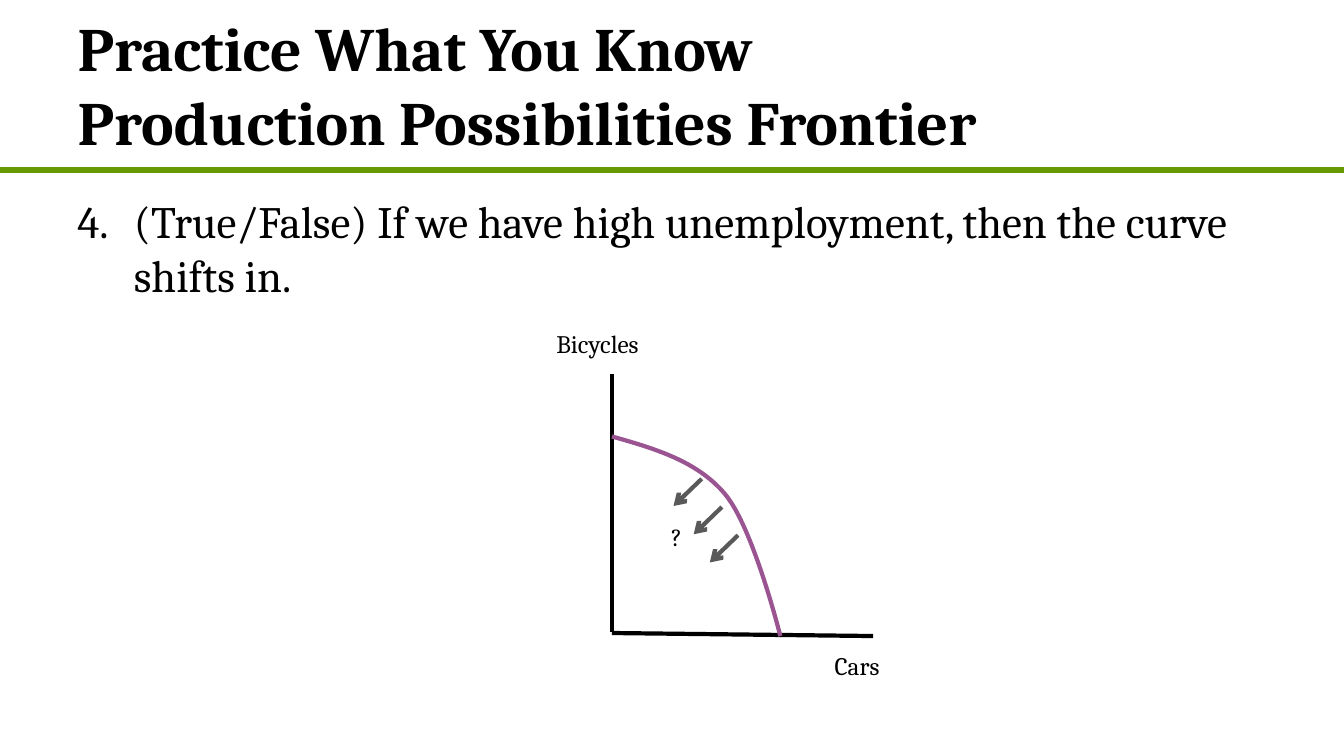
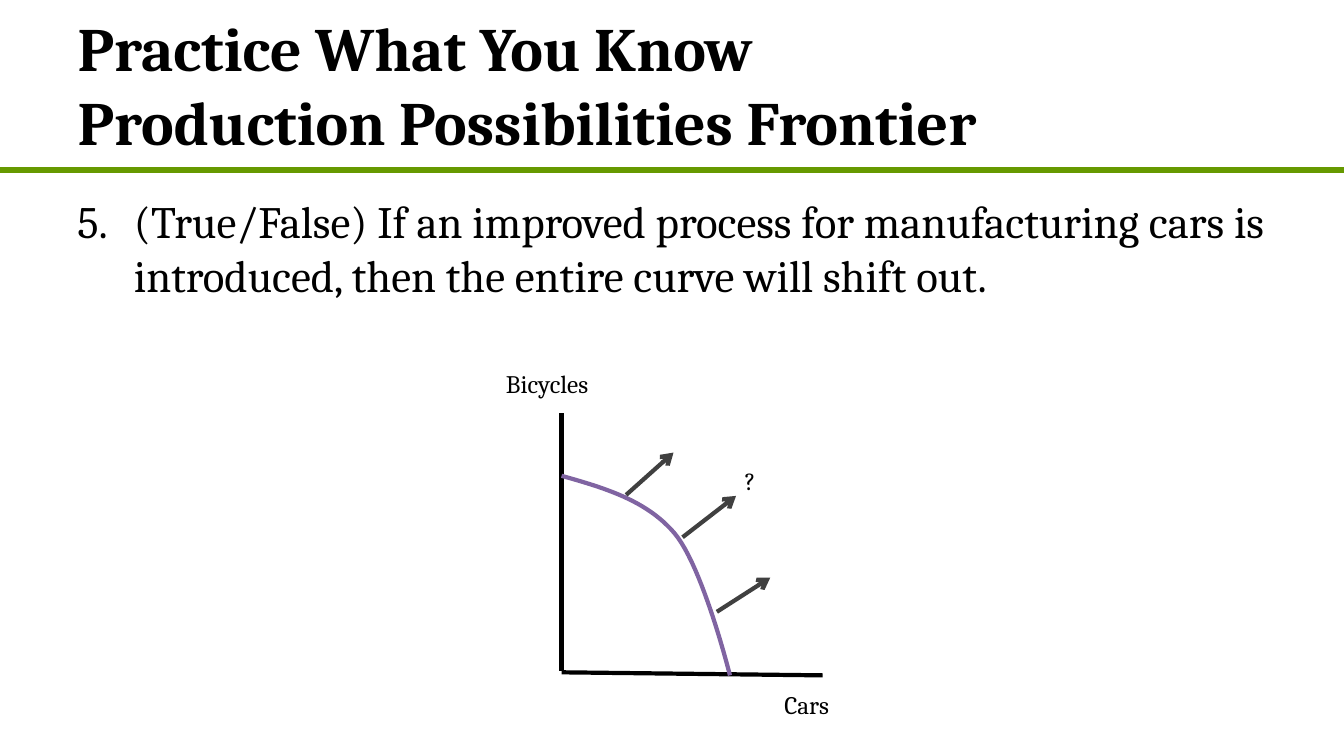
from dataclasses import dataclass

from lxml.etree import SubElement
from pptx import Presentation
from pptx.dml.color import RGBColor
from pptx.enum.shapes import MSO_CONNECTOR
from pptx.enum.text import MSO_ANCHOR, MSO_AUTO_SIZE, PP_ALIGN
from pptx.oxml.ns import qn
from pptx.util import Pt

PX = 9144  # EMU in one px, 100 px to the inch
PAGE_WIDTH, PAGE_HEIGHT = 1333, 750
TITLE_ONLY = 5


@dataclass(frozen=True)
class Theme:
    font: str = "Cambria"
    ink: str = "000000"
    rule: str = "669900"
    title_size: int = 44
    question_size: int = 32
    label_size: int = 18
    line_width: float = 3
    rule_width: float = 4.5


THEME = Theme()
TITLE = "Practice What You Know\vProduction Possibilities Frontier"

# Graph parts, measured from the origin of the axes
AXES = [((0, -257), (0, -1)), ((259, 3), (0, 0))]
LABELS = [("Bicycles", -65, -307, 140), ("Cars", 211, 12, 82)]
FRONTIER = [
    [(0, -195), (42, -183), (84, -171), (112, -138)],
    [(112, -138), (140, -105), (167, 3), (167, 3)],
]

QUESTIONS = [
    {
        "number": 4,
        "text": "(True/False) If we have high unemployment, then the curve shifts in.",
        "origin": (607, 628),
        "curve_color": "9B5492",
        "arrow_color": "595959",
        "arrows": [((x, y), (x - 28, y + 27))
                   for x, y in [(109, -125), (125, -97), (89, -153)]],
        "mark": (49, -116),
    },
    {
        "number": 5,
        "text": "(True/False) If an improved process for manufacturing cars is "
                "introduced, then the entire curve will shift out.",
        "origin": (557, 667),
        "curve_color": "8064A2",
        "arrow_color": "404040",
        "arrows": [((120, -134), (173, -175)),
                   ((154, -60), (207, -94)),
                   ((64, -176), (111, -218))],
        "mark": (172, -210),
    },
]


def px(*lengths):
    return [round(length * PX) for length in lengths]


def shift(point, origin):
    return point[0] + origin[0], point[1] + origin[1]


def style_text(frame, size, bold=False):
    for para in frame.paragraphs:
        para.alignment = PP_ALIGN.LEFT
        for span in para.runs:
            span.font.name = THEME.font
            span.font.size = Pt(size)
            span.font.bold = bold
            span.font.color.rgb = RGBColor.from_string(THEME.ink)


def style_line(line, color, width):
    line.color.rgb = RGBColor.from_string(color)
    line.width = Pt(width)


def add_text(page, text, left, top, width, height, size):
    box = page.shapes.add_textbox(*px(left, top, width, height))
    frame = box.text_frame
    frame.word_wrap = True
    frame.text = text
    style_text(frame, size)
    return frame


def add_label(page, text, left, top, width):
    frame = add_text(page, text, left, top, width, 40, THEME.label_size)
    frame.auto_size = MSO_AUTO_SIZE.SHAPE_TO_FIT_TEXT


def add_line(page, start, end, color, width=THEME.line_width, arrow=False):
    connector = page.shapes.add_connector(MSO_CONNECTOR.STRAIGHT, *px(*start, *end))
    style_line(connector.line, color, width)
    if arrow:
        SubElement(connector.line._get_or_add_ln(), qn("a:tailEnd"), type="arrow")
    SubElement(connector._element.spPr, qn("a:effectLst"))


def bezier_point(controls, t):
    weights = ((1 - t) ** 3, 3 * t * (1 - t) ** 2, 3 * t ** 2 * (1 - t), t ** 3)
    return tuple(sum(weight * point[axis] for weight, point in zip(weights, controls))
                 for axis in (0, 1))


def add_curve(page, segments, origin, color, steps=24):
    points = [segments[0][0]]
    for controls in segments:
        points += [bezier_point(controls, step / steps) for step in range(1, steps + 1)]
    corners = [px(*shift(point, origin)) for point in points]
    builder = page.shapes.build_freeform(*corners[0])
    builder.add_line_segments(corners[1:], close=False)
    curve = builder.convert_to_shape()
    curve.shadow.inherit = False
    curve.fill.background()
    style_line(curve.line, color, THEME.line_width)


def add_page(deck):
    """Page with the shared title and green rule."""
    page = deck.slides.add_slide(deck.slide_layouts[TITLE_ONLY])
    add_line(page, (0, 169), (PAGE_WIDTH, 169), THEME.rule, THEME.rule_width)
    title = page.shapes.title
    title.left, title.top, title.width, title.height = px(67, 0, 1200, 167)
    frame = title.text_frame
    frame.text = TITLE
    frame.word_wrap = True
    frame.auto_size = MSO_AUTO_SIZE.NONE
    frame.vertical_anchor = MSO_ANCHOR.MIDDLE
    style_text(frame, THEME.title_size, bold=True)
    return page


def add_question(page, number, text):
    frame = add_text(page, text, 67, 187, 1200, 535, THEME.question_size)
    para = frame.paragraphs[0]
    para.space_before = Pt(6.4)
    properties = para._p.get_or_add_pPr()
    indent = 56 * PX
    properties.set("marL", str(indent))
    properties.set("indent", str(-indent))
    SubElement(properties, qn("a:buFont"), typeface=THEME.font)
    SubElement(properties, qn("a:buAutoNum"), type="arabicPeriod", startAt=str(number))


def add_graph(page, question):
    origin = question["origin"]
    for start, end in AXES:
        add_line(page, shift(start, origin), shift(end, origin), THEME.ink)
    for text, left, top, width in LABELS + [("?", *question["mark"], 48)]:
        add_label(page, text, *shift((left, top), origin), width)
    add_curve(page, FRONTIER, origin, question["curve_color"])
    for start, end in question["arrows"]:
        add_line(page, shift(start, origin), shift(end, origin),
                 question["arrow_color"], arrow=True)


def main():
    deck = Presentation()
    deck.slide_width, deck.slide_height = px(PAGE_WIDTH, PAGE_HEIGHT)
    for question in QUESTIONS:
        page = add_page(deck)
        add_question(page, question["number"], question["text"])
        add_graph(page, question)
    deck.save("out.pptx")


if __name__ == "__main__":
    main()
